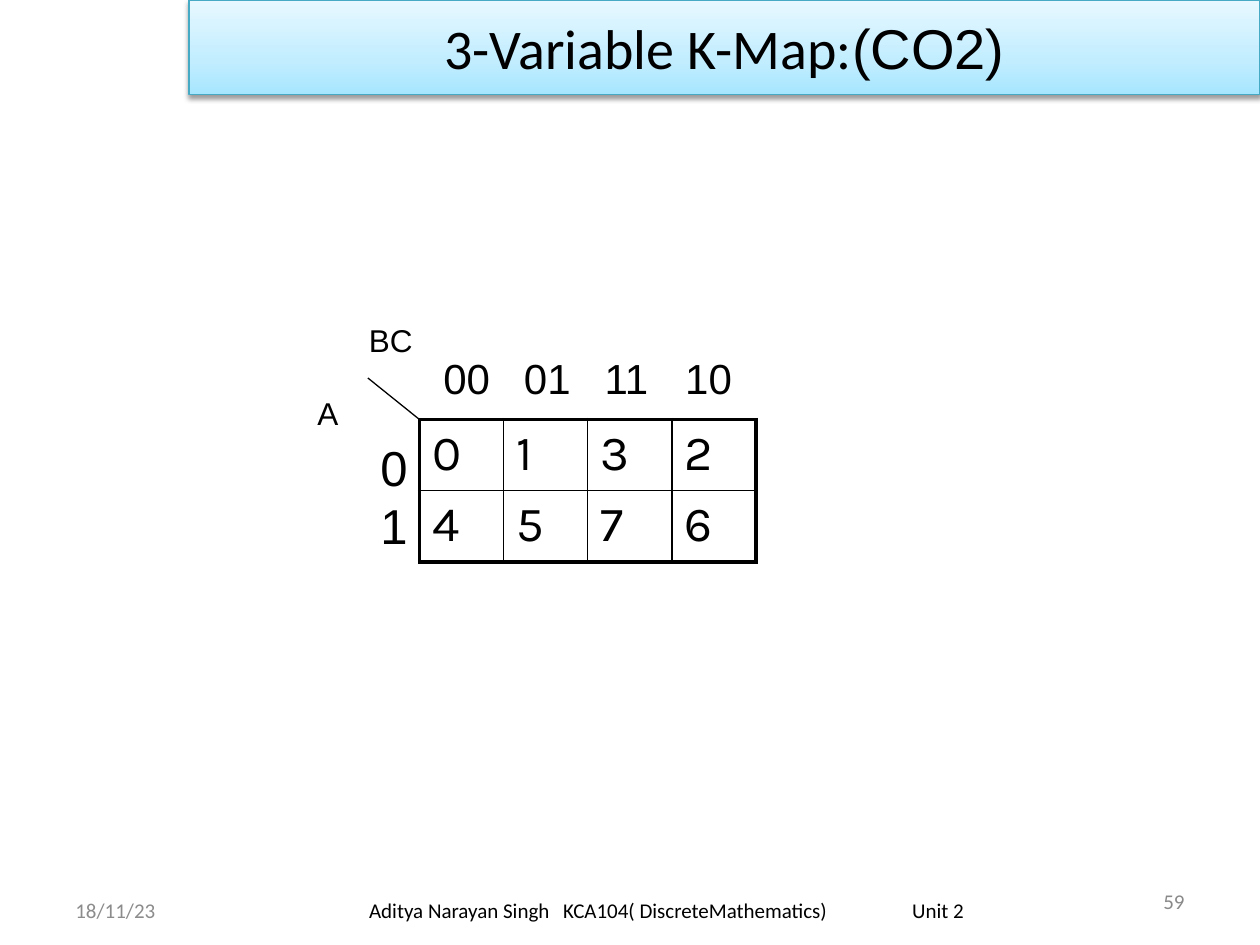
from dataclasses import dataclass

from pptx import Presentation
from pptx.dml.color import RGBColor
from pptx.enum.shapes import MSO_CONNECTOR as Connector, MSO_SHAPE as Shape
from pptx.enum.text import MSO_ANCHOR as Anchor, PP_ALIGN as Align
from pptx.oxml import parse_xml
from pptx.oxml.ns import nsdecls
from pptx.util import Inches, Pt


@dataclass(frozen=True)
class Theme:
    ink: str = "000000"
    date_grey: str = "8C8C8C"
    number_grey: str = "898989"
    banner_line: str = "46AAC5"
    banner_stops: tuple = ((0, "A7E6FF"), (35, "C1EDFF"), (100, "E7F8FF"))
    sans: str = "Arial"
    body: str = "Calibri"
    cell: str = "Karla"
    title_size: int = 32
    digit_size: int = 28
    code_size: int = 24
    variable_size: int = 18
    footer_size: int = 12
    outer_rule: float = 2.25
    inner_rule: float = 1
    thin_rule: float = 0.75


THEME = Theme()
BC_CODES = ("00", "01", "11", "10")
A_CODES = ("0", "1")
MINTERMS = (("0", "1", "3", "2"), ("4", "5", "7", "6"))


def add_run(paragraph, text, font, size, color=THEME.ink):
    run = paragraph.add_run()
    run.text = text
    run.font.name = font
    run.font.size = Pt(size)
    run.font.color.rgb = RGBColor.from_string(color)


def add_tab_stops(paragraph, positions):
    stops = "".join(f'<a:tab pos="{Inches(x)}" algn="l"/>' for x in positions)
    paragraph._p.get_or_add_pPr().append(
        parse_xml(f'<a:tabLst {nsdecls("a")}>{stops}</a:tabLst>'))


def add_map_label(slide, box, lines, size, tabs=()):
    """Label beside the map, with a line pitch of 1.2 times its type size."""
    frame = slide.shapes.add_textbox(*map(Inches, box)).text_frame
    frame.word_wrap = False
    for index, line in enumerate(lines):
        paragraph = frame.add_paragraph() if index else frame.paragraphs[0]
        paragraph.line_spacing = Pt(1.2 * size)
        if tabs:
            add_tab_stops(paragraph, tabs)
        add_run(paragraph, line, THEME.sans, size)


def add_footer(slide, box, text, color, align=Align.LEFT, inset=0.1, tabs=()):
    frame = slide.shapes.add_textbox(*map(Inches, box)).text_frame
    frame.word_wrap = True
    frame.vertical_anchor = Anchor.MIDDLE
    frame.margin_left = Inches(inset)
    paragraph = frame.paragraphs[0]
    paragraph.alignment = align
    if tabs:
        add_tab_stops(paragraph, tabs)
    add_run(paragraph, text, THEME.body, THEME.footer_size, color)


def add_title_banner(slide):
    banner = slide.shapes.add_shape(
        Shape.RECTANGLE, Inches(1.5), 0, Inches(8.5), Inches(0.75))
    banner.line.color.rgb = RGBColor.from_string(THEME.banner_line)
    banner.line.width = Pt(THEME.thin_rule)

    # Three-stop gradient, running upwards, and a soft shadow below
    stops = "".join(
        f'<a:gs pos="{share * 1000}"><a:srgbClr val="{color}"/></a:gs>'
        for share, color in THEME.banner_stops)
    properties = banner._element.spPr
    properties.insert(2, parse_xml(
        f'<a:gradFill {nsdecls("a")} rotWithShape="1"><a:gsLst>{stops}</a:gsLst>'
        '<a:lin ang="16200000" scaled="0"/></a:gradFill>'))
    properties.append(parse_xml(
        f'<a:effectLst {nsdecls("a")}><a:outerShdw blurRad="{Pt(3.1)}" '
        f'dist="{Pt(1.6)}" dir="5400000" rotWithShape="0">'
        f'<a:srgbClr val="{THEME.ink}"><a:alpha val="38000"/></a:srgbClr>'
        '</a:outerShdw></a:effectLst>'))

    banner.text_frame.vertical_anchor = Anchor.MIDDLE
    title = banner.text_frame.paragraphs[0]
    title.alignment = Align.CENTER
    add_run(title, "3-Variable K-Map:", THEME.body, THEME.title_size)
    add_run(title, "(CO2)", THEME.sans, THEME.title_size)


def set_borders(cell, outer_sides):
    """Heavy rules on the rim of the map, light rules within it."""
    for side in "LRTB":
        width = THEME.outer_rule if side in outer_sides else THEME.inner_rule
        cell._tc.get_or_add_tcPr().append(parse_xml(
            f'<a:ln{side} {nsdecls("a")} w="{Pt(width)}"><a:solidFill>'
            f'<a:srgbClr val="{THEME.ink}"/></a:solidFill></a:ln{side}>'))


def add_minterm_table(slide):
    last_row, last_column = len(A_CODES) - 1, len(BC_CODES) - 1
    minterm_map = slide.shapes.add_table(
        len(A_CODES), len(BC_CODES),
        Inches(3.33), Inches(3.33), Inches(2.67), Inches(1.13)).table
    minterm_map.first_row = minterm_map.horz_banding = False
    for r, minterms in enumerate(MINTERMS):
        for c, minterm in enumerate(minterms):
            cell = minterm_map.cell(r, c)
            rim = (("L", c == 0), ("R", c == last_column),
                   ("T", r == 0), ("B", r == last_row))
            set_borders(cell, [side for side, on_rim in rim if on_rim])
            cell.fill.background()
            add_run(cell.text_frame.paragraphs[0], minterm,
                    THEME.cell, THEME.digit_size)


def add_corner_line(slide):
    corner = slide.shapes.add_connector(
        Connector.STRAIGHT, Inches(2.92), Inches(3), Inches(3.33), Inches(3.33))
    corner.line.color.rgb = RGBColor.from_string(THEME.ink)
    corner.line.width = Pt(THEME.thin_rule)
    corner._element.spPr.append(parse_xml(f'<a:effectLst {nsdecls("a")}/>'))


def main():
    deck = Presentation()
    deck.slide_width, deck.slide_height = Inches(10), Inches(7.5)
    slide = deck.slides.add_slide(deck.slide_layouts[6])

    # Header
    add_title_banner(slide)

    # Karnaugh map with its row and column codes
    add_minterm_table(slide)
    code_tabs = [0.64 * step for step in range(1, len(BC_CODES))]
    add_map_label(slide, (3.42, 2.75, 2.6, 0.5), ["\t".join(BC_CODES)],
                  THEME.code_size, code_tabs)
    add_map_label(slide, (2.92, 3.42, 0.41, 1.03), A_CODES, THEME.digit_size)

    # Variable names on both sides of the corner line
    add_map_label(slide, (2.83, 2.5, 0.6, 0.5), ["BC"], THEME.variable_size)
    add_corner_line(slide)
    add_map_label(slide, (2.42, 3.08, 0.37, 0.4), ["A"], THEME.variable_size)

    # Footer
    add_footer(slide, (0.5, 7.02, 2.33, 0.4), "18/11/23", THEME.date_grey)
    add_footer(slide, (2.58, 7.02, 5.5, 0.4),
               "Aditya Narayan Singh\tKCA104( DiscreteMathematics)\tUnit 2",
               THEME.ink, inset=0.35, tabs=(1.54, 4.31))
    add_footer(slide, (7.17, 6.95, 2.33, 0.4), "59", THEME.number_grey,
               Align.RIGHT)

    deck.save("out.pptx")


if __name__ == "__main__":
    main()
